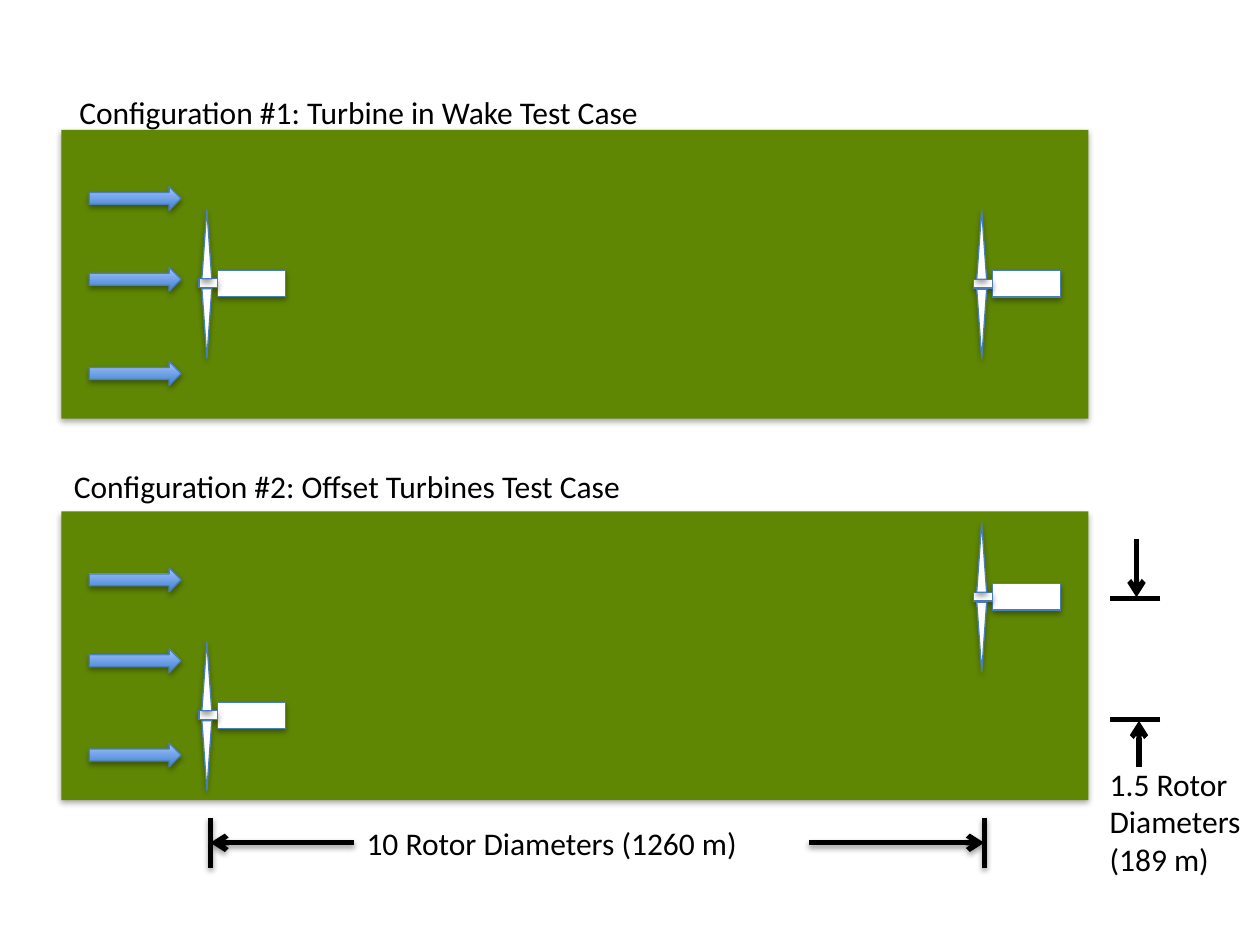
from pptx import Presentation
from pptx.util import Cm, Pt
from pptx.dml.color import RGBColor
from pptx.enum.shapes import MSO_CONNECTOR, MSO_SHAPE
from pptx.enum.text import MSO_AUTO_SIZE
from pptx.oxml.ns import qn
from lxml import etree

GREEN = RGBColor(0x5F, 0x87, 0x04)
WHITE = RGBColor(0xFF, 0xFF, 0xFF)
BLACK = RGBColor(0x00, 0x00, 0x00)
OUTLINE = RGBColor(0x4B, 0x7E, 0xBC)
WIND_DARK = RGBColor(0x3F, 0x80, 0xCE)
WIND_LIGHT = RGBColor(0xA4, 0xC4, 0xFF)

FIELD_LEFT, FIELD_WIDTH, FIELD_HEIGHT = 1.24, 20.70, 5.82
FRONT_HUB, REAR_HUB = 4.01, 19.63


def add_part(shapes, preset, left, top, width, height):
    """Add an outlined shape that keeps the soft shadow of the theme."""
    part = shapes.add_shape(preset, Cm(left), Cm(top), Cm(width), Cm(height))
    part.fill.solid()
    part.fill.fore_color.rgb = WHITE
    part.line.color.rgb = OUTLINE
    part.line.width = Pt(0.75)
    return part


def add_dimension_line(shapes, start, end, arrow, shadow):
    rule = shapes.add_connector(MSO_CONNECTOR.STRAIGHT, Cm(start[0]), Cm(start[1]),
                                Cm(end[0]), Cm(end[1]))
    rule.line.color.rgb = BLACK
    rule.line.width = Pt(3)
    if arrow:
        etree.SubElement(rule.line._get_or_add_ln(), qn("a:tailEnd"), type="arrow")
    if not shadow:
        etree.SubElement(rule._element.spPr, qn("a:effectLst"))


prs = Presentation()
prs.slide_width, prs.slide_height = Cm(25.4), Cm(19.05)
slide = prs.slides.add_slide(prs.slide_layouts[6])
shapes = slide.shapes

# Wind farm configurations: field top, then hub tops of the front and rear turbines
for field_top, front_top, rear_top in [(10.31, 14.33, 11.94), (2.62, 5.62, 5.63)]:
    field = add_part(shapes, MSO_SHAPE.RECTANGLE, FIELD_LEFT, field_top,
                     FIELD_WIDTH, FIELD_HEIGHT)
    field.fill.fore_color.rgb = GREEN
    field.line.fill.background()

    # Turbines: nacelle, hub and two blades
    for hub_left, hub_top in [(FRONT_HUB, front_top), (REAR_HUB, rear_top)]:
        turbine = shapes.add_group_shape().shapes
        add_part(turbine, MSO_SHAPE.RECTANGLE, hub_left + 0.38, hub_top - 0.17, 1.37, 0.53)
        add_part(turbine, MSO_SHAPE.RECTANGLE, hub_left, hub_top, 0.38, 0.18)
        blade_left = hub_left + 0.06
        add_part(turbine, MSO_SHAPE.ISOSCELES_TRIANGLE, blade_left, hub_top - 1.40, 0.20, 1.40)
        lower_blade = add_part(turbine, MSO_SHAPE.ISOSCELES_TRIANGLE,
                               blade_left, hub_top + 0.20, 0.20, 1.40)
        lower_blade.rotation = 180

    # Incoming wind
    for drop in (1.14, 2.77, 4.67):
        wind = add_part(shapes, MSO_SHAPE.RIGHT_ARROW, 1.80, field_top + drop, 1.85, 0.48)
        wind.fill.gradient()
        wind.fill.gradient_angle = 90
        for stop, color, position in zip(wind.fill.gradient_stops,
                                         (WIND_DARK, WIND_LIGHT), (0, 1)):
            stop.color.rgb = color
            stop.position = position

# Captions and dimension labels
for wording, left, top, width, height in [
    ("Configuration #1: Turbine in Wake Test Case", 1.35, 1.75, 17.09, 1.02),
    ("Configuration #2: Offset Turbines Test Case", 1.24, 9.30, 17.09, 1.02),
    ("10 Rotor Diameters (1260 m)", 7.14, 16.48, 9.17, 1.02),
    ("1.5 Rotor Diameters (189 m)", 22.12, 15.29, 3.45, 2.57),
]:
    label = shapes.add_textbox(Cm(left), Cm(top), Cm(width), Cm(height)).text_frame
    label.word_wrap = True
    label.auto_size = MSO_AUTO_SIZE.SHAPE_TO_FIT_TEXT
    label.text = wording
    font = label.paragraphs[0].runs[0].font
    font.name = "Calibri"
    font.size = Pt(18)
    font.color.rgb = BLACK

# Streamwise spacing: end marks and arrows
for mark, arrow_start in [(4.24, 7.14), (19.84, 16.31)]:
    add_dimension_line(shapes, (mark, 16.48), (mark, 17.50), arrow=False, shadow=True)
    add_dimension_line(shapes, (arrow_start, 16.99), (mark, 16.99), arrow=True, shadow=True)

# Lateral offset: end marks and arrows
for mark, arrow_left, arrow_start, arrow_end in [
    (12.07, 22.91, 10.87, 12.04),
    (14.50, 22.96, 15.47, 14.53),
]:
    add_dimension_line(shapes, (23.39, mark), (22.38, mark), arrow=False, shadow=False)
    add_dimension_line(shapes, (arrow_left, arrow_start), (arrow_left, arrow_end),
                       arrow=True, shadow=False)

prs.save("out.pptx")
